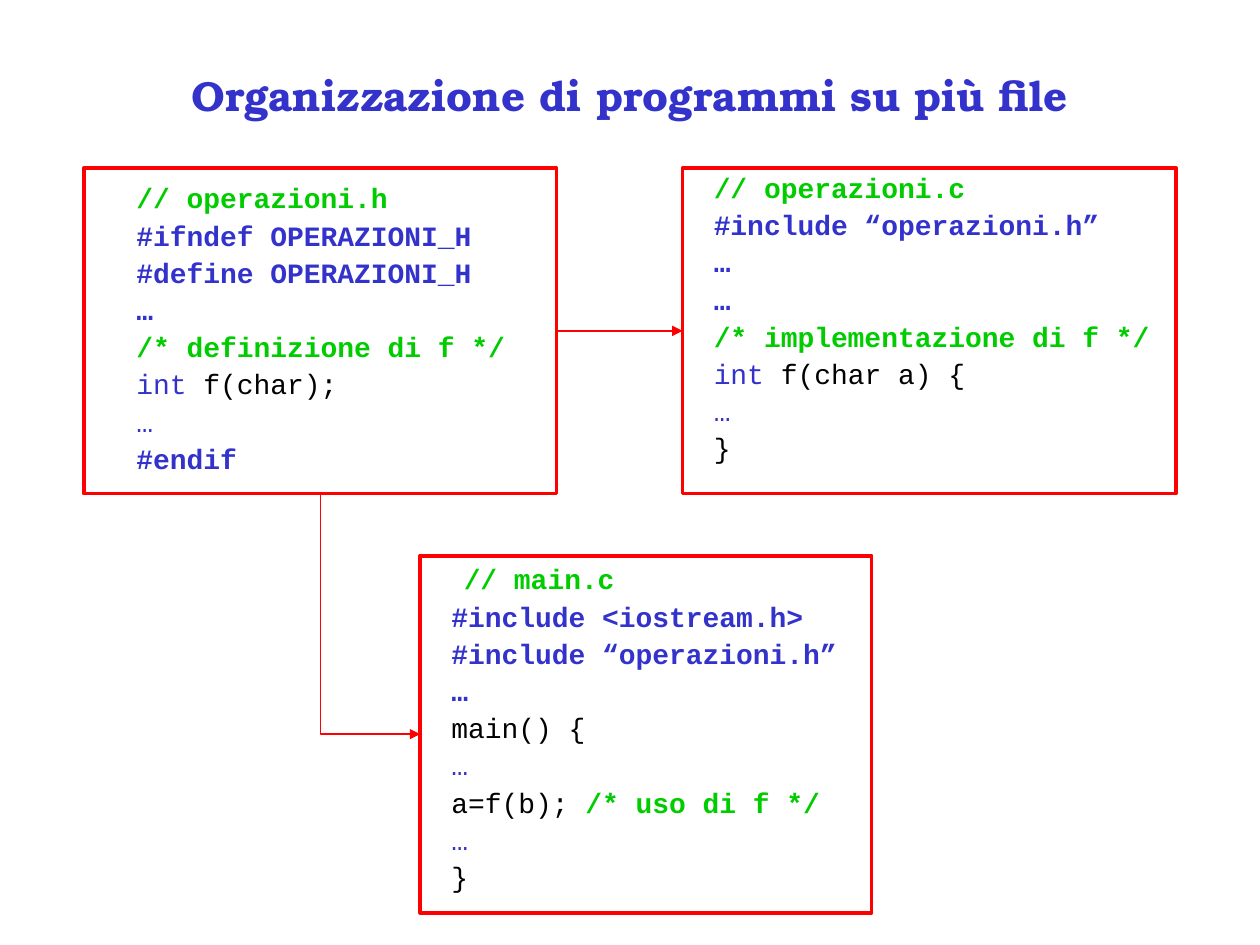
"""Build a slide showing how a C program is organised over several files."""
import pptx
import pptx.dml.color
import pptx.enum.shapes
import pptx.enum.text
import pptx.oxml
import pptx.oxml.ns
import pptx.util
from pptx.util import Cm

TITLE = "Organizzazione di programmi su più file"

FILES = {
    "header": {
        "box": (1.69, 3.39, 9.53, 6.56),
        "text": (1.48, 3.6, 11.85, 7.0),
        "lines": [
            [("// operazioni.h", "comment")],
            [("#ifndef OPERAZIONI_H", "directive")],
            [("#define OPERAZIONI_H", "directive")],
            [("…", "directive")],
            [("/* definizione di f */", "comment")],
            [("int", "keyword"), (" f(char);", "plain")],
            [("…", "keyword")],
            [("#endif", "directive")],
        ],
    },
    "implementation": {
        "box": (13.76, 3.39, 9.95, 6.56),
        "text": (13.12, 3.39, 11.85, 6.95),
        "lines": [
            [("// operazioni.c", "comment")],
            [("#include “operazioni.h”", "directive")],
            [("…", "directive")],
            [("…", "directive")],
            [("/* implementazione di f */", "comment")],
            [("int", "keyword"), (" f(char a) {", "plain")],
            [("…", "keyword")],
            [("}", "plain")],
        ],
    },
    "main": {
        "box": (8.47, 11.2, 9.1, 7.2),
        "text": (7.83, 11.28, 11.85, 7.77),
        "first_indent": 0.25,
        "first_space": 7,
        "lines": [
            [("// main.c", "comment")],
            [("#include <iostream.h>", "directive")],
            [("#include “operazioni.h”", "directive")],
            [("…", "directive")],
            [("main() {", "plain")],
            [("…", "keyword")],
            [("a=f(b); ", "plain"), ("/* uso di f */", "comment")],
            [("…", "keyword")],
            [("}", "plain")],
        ],
    },
}

THEME = {
    "title": {"font": "TeX Gyre Bonum", "size": 24, "color": "3333CC", "bold": True},
    "code": {"font": "Courier New", "size": 16},
    "styles": {
        "comment": {"color": "00CC00", "bold": True},
        "directive": {"color": "3333CC", "bold": True},
        "keyword": {"color": "3333CC", "bold": False},
        "plain": {"color": "000000", "bold": False},
    },
    "line": "FF0000",
    "box_width": 2.25,
    "arrow_width": 0.75,
    "line_spacing": 0.9,
    "space_before": 4,
    "code_indent": 1.02,
}


def rgb(color):
    return pptx.dml.color.RGBColor.from_string(color)


def add_text(paragraph, text, *, font, size, color, bold):
    run = paragraph.add_run()
    run.text = text
    run.font.name = font
    run.font.size = pptx.util.Pt(size)
    run.font.color.rgb = rgb(color)
    run.font.bold = bold


def add_title(slide):
    title = slide.shapes.title
    title.left, title.top, title.width, title.height = map(Cm, (1.9, 1.06, 21.6, 1.7))
    title.text_frame.vertical_anchor = pptx.enum.text.MSO_ANCHOR.MIDDLE
    paragraph = title.text_frame.paragraphs[0]
    paragraph.alignment = pptx.enum.text.PP_ALIGN.CENTER
    add_text(paragraph, TITLE, **THEME["title"])


def add_code(slide, file):
    frame = slide.shapes.add_textbox(*map(Cm, file["text"])).text_frame
    frame.word_wrap = True
    for index, line in enumerate(file["lines"]):
        paragraph = frame.add_paragraph() if index else frame.paragraphs[0]
        first_space = THEME["space_before"] if index else file.get("first_space", THEME["space_before"])
        first_indent = 0 if index else file.get("first_indent", 0)
        paragraph.line_spacing = THEME["line_spacing"]
        paragraph.space_before = pptx.util.Pt(first_space)
        properties = paragraph._p.get_or_add_pPr()
        properties.set("marL", str(Cm(THEME["code_indent"])))
        properties.set("indent", str(Cm(first_indent)))
        for text, style in line:
            add_text(paragraph, text, **THEME["code"], **THEME["styles"][style])


def add_box(slide, file):
    box = slide.shapes.add_shape(
        pptx.enum.shapes.MSO_SHAPE.RECTANGLE, *map(Cm, file["box"]))
    box.shadow.inherit = False
    box.fill.background()
    box.line.color.rgb = rgb(THEME["line"])
    box.line.width = pptx.util.Pt(THEME["box_width"])
    return box


def add_arrow(slide, kind, *ends):
    arrow = slide.shapes.add_connector(kind, *ends)
    arrow.line.color.rgb = rgb(THEME["line"])
    arrow.line.width = pptx.util.Pt(THEME["arrow_width"])
    head = pptx.oxml.ns.qn("a:tailEnd")
    arrow.line._get_or_add_ln().append(
        arrow._element.makeelement(head, {"type": "triangle"}))
    effects = pptx.oxml.ns.qn("a:effectLst")
    arrow._element.spPr.append(arrow._element.makeelement(effects, {}))
    return arrow


def add_straight_arrow(slide, source, target):
    arrow = add_arrow(slide, pptx.enum.shapes.MSO_CONNECTOR.STRAIGHT, 0, 0, 0, 0)
    arrow.begin_connect(source, 3)
    arrow.end_connect(target, 1)


def add_corner_arrow(slide, source, target):
    start_x = source.left + source.width // 2
    start_y = source.top + source.height
    end_x = target.left
    end_y = target.top + target.height // 2
    across, down = end_x - start_x, end_y - start_y
    left = (start_x + end_x - down) // 2
    top = (start_y + end_y - across) // 2
    arrow = add_arrow(slide, pptx.enum.shapes.MSO_CONNECTOR.ELBOW,
                      left + down, top, left, top + across)
    properties = arrow._element.spPr
    properties.find(pptx.oxml.ns.qn("a:prstGeom")).set("prst", "bentConnector2")
    properties.find(pptx.oxml.ns.qn("a:xfrm")).set("rot", str(270 * 60000))


def main():
    presentation = pptx.Presentation()
    presentation.slide_width, presentation.slide_height = Cm(25.4), Cm(19.05)
    slide = presentation.slides.add_slide(presentation.slide_layouts[5])
    add_title(slide)
    boxes = {}
    for name, file in FILES.items():
        add_code(slide, file)
        boxes[name] = add_box(slide, file)
    add_straight_arrow(slide, boxes["header"], boxes["implementation"])
    add_corner_arrow(slide, boxes["header"], boxes["main"])
    presentation.save("out.pptx")


if __name__ == "__main__":
    main()
